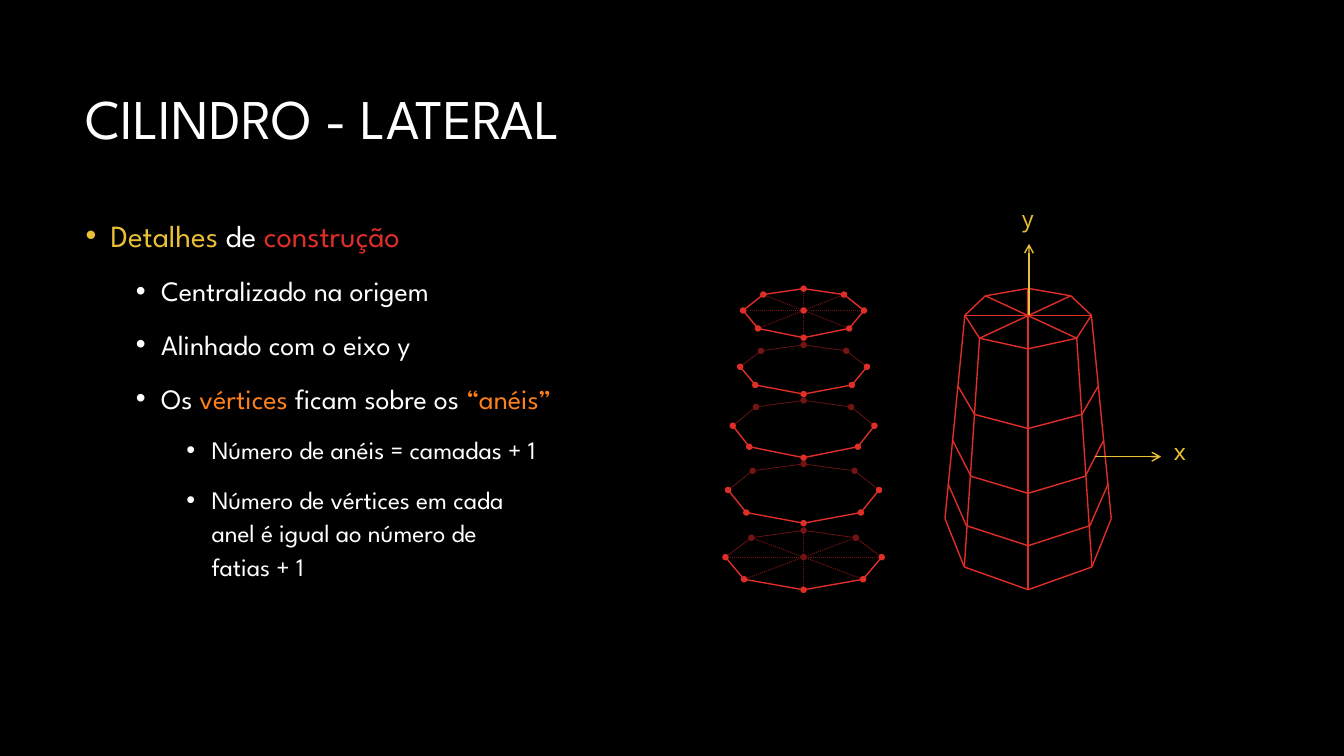
from dataclasses import dataclass

from pptx import Presentation
from pptx.dml.color import RGBColor
from pptx.enum.dml import MSO_LINE
from pptx.enum.shapes import MSO_CONNECTOR, MSO_SHAPE
from pptx.enum.text import MSO_ANCHOR
from pptx.oxml.ns import qn
from pptx.util import Pt
from lxml.etree import SubElement


@dataclass(frozen=True)
class Theme:
    black: RGBColor = RGBColor.from_string("000000")
    white: RGBColor = RGBColor.from_string("FFFFFF")
    yellow: RGBColor = RGBColor.from_string("E9BF35")
    red: RGBColor = RGBColor.from_string("DF2E28")
    dark_red: RGBColor = RGBColor.from_string("721411")
    orange: RGBColor = RGBColor.from_string("FE801A")
    font: str = "League Spartan"
    axis_font: str = "Noto Sans Mono"
    title_size: int = 40
    body_sizes: tuple = (22, 20, 18)
    axis_size: int = 16


T = Theme()


def add_run(p, text, size, color, font=T.font):
    r = p.add_run()
    r.text = text
    r.font.size = Pt(size)
    r.font.name = font
    r.font.color.rgb = color


def draw_edge(group, start, end, color, width=1, dotted=False, arrow=False):
    c = group.shapes.add_connector(MSO_CONNECTOR.STRAIGHT, *(Pt(v) for v in start + end))
    c.line.color.rgb = color
    c.line.width = Pt(width)
    if dotted:
        c.line.dash_style = MSO_LINE.ROUND_DOT
    sp_pr = c._element.spPr
    if arrow:
        SubElement(sp_pr.find(qn("a:ln")), qn("a:tailEnd"), type="arrow")
    SubElement(sp_pr, qn("a:effectLst"))


prs = Presentation()
prs.slide_width, prs.slide_height = Pt(960), Pt(540)
s = prs.slides.add_slide(prs.slide_layouts[6])
s.background.fill.solid()
s.background.fill.fore_color.rgb = T.black

# Title
tf = s.shapes.add_textbox(Pt(54), Pt(36), Pt(852), Pt(101.5)).text_frame
tf.word_wrap = True
tf.vertical_anchor = MSO_ANCHOR.MIDDLE
tf.paragraphs[0].line_spacing = 0.9
add_run(tf.paragraphs[0], "CILINDRO - LATERAL", T.title_size, T.white)

# Bulleted text: level, then runs; a line feed is a line break
bullets = [
    (0, [("Detalhes", T.yellow), (" de", T.white), (" construção", T.red)]),
    (1, [("Centralizado na origem", T.white)]),
    (1, [("Alinhado com o eixo y", T.white)]),
    (1, [("Os ", T.white), ("vértices", T.orange), (" ficam sobre os ", T.white),
         ("“anéis”", T.orange)]),
    (2, [("Número de anéis = camadas + 1", T.white)]),
    (2, [("Número de vértices em cada \nanel é igual ao número de \nfatias + 1", T.white)]),
]
tf = s.shapes.add_textbox(Pt(54), Pt(148.5), Pt(852), Pt(337.5)).text_frame
tf.word_wrap = True
for n, (level, runs) in enumerate(bullets):
    p = tf.add_paragraph() if n else tf.paragraphs[0]
    p.level = level
    p.line_spacing = 1.1
    p.space_before = Pt(12 if level else 10)
    p_pr = p._p.get_or_add_pPr()
    p_pr.set("marL", str(Pt(18 + 36 * level)))
    p_pr.set("indent", str(Pt(-18)))
    SubElement(p_pr, qn("a:buFont"), typeface="Arial")
    SubElement(p_pr, qn("a:buChar"), char="•")
    for text, color in runs:
        for k, line in enumerate(text.split("\n")):
            if k:
                p.add_line_break()
            add_run(p, line, T.body_sizes[level], color)

# Wireframe cylinder. Each ring holds (half width, y) pairs from back to front.
cylinder = s.shapes.add_group_shape()
cx = 734.4
cylinder_top = [(0, 206), (30.5, 211.3), (45.2, 225.2), (34.7, 241.6), (0, 249.2)]
lower_rings = [
    [(50.1, 275.8), (38.3, 296), (0, 306.1)],
    [(54, 314.4), (40.8, 340.2), (0, 352.4)],
    [(57.2, 345.6), (44.1, 375.5), (0, 389.8)],
    [(59.4, 370.4), (45.6, 405), (0, 421.2)],
]
for side in (-1, 1):
    for ring in [cylinder_top] + lower_rings:
        for (w1, y1), (w2, y2) in zip(ring, ring[1:]):
            draw_edge(cylinder, (cx + side * w1, y1), (cx + side * w2, y2), T.red)
    for (w1, y1), (w2, y2) in zip(cylinder_top[2:4], lower_rings[-1]):
        draw_edge(cylinder, (cx + side * w1, y1), (cx + side * w2, y2), T.red)
    (w1, y1), (w2, y2) = cylinder_top[1], cylinder_top[3]
    draw_edge(cylinder, (cx + side * w1, y1), (cx - side * w2, y2), T.red)
side_w, side_y = cylinder_top[2]
draw_edge(cylinder, (cx - side_w, side_y), (cx + side_w, side_y), T.red)
draw_edge(cylinder, (cx, cylinder_top[0][1]), (cx, lower_rings[-1][-1][1]), T.red)

# Axes
axes = [
    ("y", (735, 225), (735, 174.2), (722.2, 143.3)),
    ("x", (782, 326.2), (829.4, 326.2), (830.9, 309.6)),
]
for name, start, end, (left, top) in axes:
    draw_edge(cylinder, start, end, T.yellow, arrow=True)
    tf = cylinder.shapes.add_textbox(Pt(left), Pt(top), Pt(23), Pt(33)).text_frame
    tf.word_wrap = False
    add_run(tf.paragraphs[0], name, T.axis_size, T.yellow, T.axis_font)

# Separate rings of vertices
ring_stack = s.shapes.add_group_shape()
cx = 574
rings = [
    [(0, 206.2), (28.8, 210.4), (43.2, 221.8), (32.6, 234.6), (0, 241.2)],
    [(0, 246.4), (30.5, 250.6), (45.3, 262), (34.5, 275), (0, 281.5)],
    [(0, 286), (34, 290.7), (50.6, 304.1), (38.8, 319.1), (0, 326.9)],
    [(0, 331.4), (36.4, 336.3), (53.9, 350), (40.9, 366.1), (0, 373.7)],
    [(0, 378.9), (37.3, 384.1), (55.8, 398), (42.5, 413.8), (0, 421.3)],
]
dots = []
for n, ring in enumerate(rings):
    is_top = n == 0
    # Clockwise from the back vertex; 2 to 6 are in front
    vertices = [(cx + w, y) for w, y in ring] + [(cx - w, y) for w, y in ring[3:0:-1]]
    if n in (0, len(rings) - 1):
        for k in range(4):
            draw_edge(ring_stack, vertices[k], vertices[k + 4], T.dark_red, 0.75, dotted=True)
        dots.append((cx, ring[2][1], T.red if is_top else T.dark_red))
    for k, (x, y) in enumerate(vertices):
        front_edge = is_top or 2 <= k < 6
        draw_edge(ring_stack, (x, y), vertices[(k + 1) % 8],
                  T.red if front_edge else T.dark_red, 1 if front_edge else 0.5)
        dots.append((x, y, T.red if is_top or 2 <= k <= 6 else T.dark_red))

DOT = 3.6
for x, y, color in dots:
    sp = ring_stack.shapes.add_shape(MSO_SHAPE.OVAL, Pt(x - DOT / 2), Pt(y - DOT / 2),
                                     Pt(DOT), Pt(DOT))
    sp.shadow.inherit = False
    sp.fill.solid()
    sp.fill.fore_color.rgb = color
    sp.line.color.rgb = color
    sp.line.width = Pt(1)

prs.save("out.pptx")
